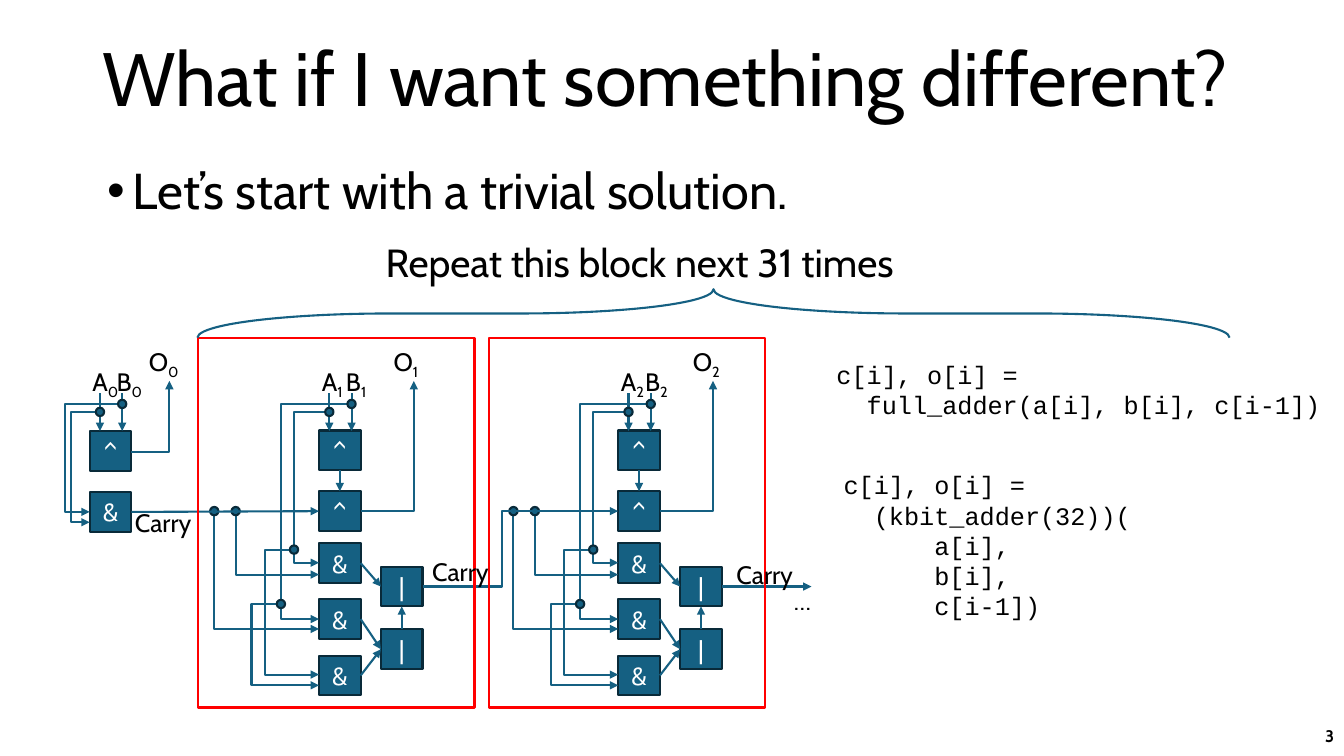
from lxml import etree
from pptx import Presentation
from pptx.dml.color import RGBColor
from pptx.enum.shapes import MSO_CONNECTOR as CXN, MSO_SHAPE as SHAPE
from pptx.enum.text import MSO_ANCHOR as ANCHOR, PP_ALIGN as ALIGN
from pptx.oxml.ns import qn
from pptx.util import Cm, Pt

TEAL, NAVY, RED, BLACK, WHITE = "156082", "092A39", "FF0000", "000000", "FFFFFF"
SANS, MONO = "Cabin", "Courier New"

TITLE = "What if I want something different?"
BULLET = "Let’s start with a trivial solution."
# text, left, top, width, height, size, font
NOTES = [
    ("Repeat this block next 31 times", 9.47, 5.87, 13.87, 1.45, 28, SANS),
    ("…", 19.76, 14.63, 1.07, 1.02, 18, SANS),
    ("Carry", 3.15, 12.67, 2.03, 1.02, 18, SANS),
    ("Carry", 10.64, 13.89, 2.03, 1.02, 18, SANS),
    ("Carry", 18.31, 13.97, 2.03, 1.02, 18, SANS),
    ("c[i], o[i] =\n  (kbit_adder(32))(\n      a[i],\n      b[i],\n      c[i-1])",
     21.01, 11.71, 7.8, 4.11, 18, MONO),
    ("c[i], o[i] =\n  full_adder(a[i], b[i], c[i-1])",
     20.83, 8.92, 12.78, 1.8, 18, MONO),
]

# Horizontal positions in an adder are offsets from the left of its gate column
GATE_W, GATE_H, DOT = 1.05, 1.0, 0.21
HALF_X, FULL_X = 2.26, (8.04, 15.58)
A_DX, B_DX, A_Y, B_Y = 0.26, 0.82, 10.38, 10.18
CARRY_Y, OUT_Y = 12.88, 9.6
HALF_GATES = {"xor": ("^", 0, 10.87), "and": ("&", 0, 12.4)}
HALF_WIRES = [
    [(B_DX, B_Y), (-0.63, B_Y), (-0.63, 12.9), (0, 12.9)],
    [(A_DX, A_Y), (-0.46, A_Y), (-0.46, 13.16), (0, 13.16)],
    [(GATE_W, 11.38), (2.01, 11.38), (2.01, OUT_Y)],
]
FULL_GATES = {
    "xor in": ("^", 0, 10.85), "xor out": ("^", 0, 12.38),
    "and 1": ("&", 0, 13.69), "and 2": ("&", 0, 15.1), "and 3": ("&", 0, 16.52),
    "or out": ("|", 1.56, 14.28), "or in": ("|", 1.56, 15.86),
}
# from gate, side, to gate, side (0 top, 1 left, 2 bottom, 3 right)
FULL_LINKS = [
    ("xor in", 2, "xor out", 0), ("and 1", 3, "or out", 1), ("and 2", 3, "or in", 1),
    ("and 3", 3, "or in", 1), ("or in", 0, "or out", 2),
]
FULL_WIRES = [
    [(B_DX, B_Y), (-0.96, B_Y), (-0.96, 15.6), (0, 15.6)],
    [(A_DX, A_Y), (-0.63, A_Y), (-0.63, 14.18), (0, 14.18)],
    [(-0.63, 13.85), (-1.37, 13.85), (-1.37, 17), (0, 17)],
    [(-0.96, 15.22), (-1.7, 15.22), (-1.7, 17.27), (0, 17.27)],
    [(-2.1, CARRY_Y), (-2.1, 14.48), (0, 14.48)],
    [(-2.64, CARRY_Y), (-2.64, 15.85), (0, 15.85)],
    [(GATE_W, CARRY_Y), (2.39, CARRY_Y), (2.39, OUT_Y)],
]
INPUT_DOTS = [(A_DX, A_Y), (B_DX, B_Y)]
FULL_DOTS = INPUT_DOTS + [(-0.96, 15.22), (-0.63, 13.85),
                          (-2.1, CARRY_Y), (-2.64, CARRY_Y)]
BLOCK_LEFTS, BLOCK_TOP, BLOCK_W, BLOCK_H = (5.0, 12.32), 8.51, 6.96, 9.32
BRACE_MID, BRACE_DEPTH, BRACE_SPAN = (17.98, 7.9), 1.22, 26.01

prs = Presentation()
prs.slide_width, prs.slide_height = Cm(33.87), Cm(19.05)
s = prs.slides.add_slide(prs.slide_layouts[6])


def rgb(color):
    return RGBColor.from_string(color)


def style(run, **fmt):
    """Set font attributes of a run; color is a hex string."""
    run.font.color.rgb = rgb(fmt.pop("color", BLACK))
    for name, value in {"name": SANS, "size": Pt(18), **fmt}.items():
        setattr(run.font, name, value)


def text(content, left, top, width, height, wrap=True, anchor=ANCHOR.TOP, **fmt):
    tf = s.shapes.add_textbox(*map(Cm, (left, top, width, height))).text_frame
    tf.word_wrap, tf.vertical_anchor = wrap, anchor
    for i, line in enumerate(content.split("\n")):
        p = tf.add_paragraph() if i else tf.paragraphs[0]
        r = p.add_run()
        r.text = line
        style(r, **fmt)
    return tf.paragraphs[0]


def shape(kind, left, top, width, height, fill=TEAL, line=NAVY):
    sp = s.shapes.add_shape(kind, *map(Cm, (left, top, width, height)))
    sp.shadow.inherit = False
    if fill:
        sp.fill.solid()
        sp.fill.fore_color.rgb = rgb(fill)
    else:
        sp.fill.background()
    outline(sp, line)
    return sp


def outline(sp, color, arrow=False):
    sp.line.color.rgb, sp.line.width = rgb(color), Pt(1.5)
    if arrow:
        etree.SubElement(sp.line._get_or_add_ln(), qn("a:tailEnd"), type="triangle")


def arrow(x1=0, y1=0, x2=0, y2=0, begin=None, end=None):
    """Straight arrow; begin and end are optional (shape, side) joints."""
    c = s.shapes.add_connector(CXN.STRAIGHT, *map(Cm, (x1, y1, x2, y2)))
    if begin:
        c.begin_connect(*begin)
    if end:
        c.end_connect(*end)
    outline(c, TEAL, arrow=True)
    etree.SubElement(c._element.spPr, qn("a:effectLst"))


def wire(points, x=0):
    """Right-angled arrow through points, shifted right by x."""
    start, *rest = [(Cm(x + px), Cm(py)) for px, py in points]
    builder = s.shapes.build_freeform(*start)
    builder.add_line_segments(rest, close=False)
    sp = builder.convert_to_shape()
    sp.shadow.inherit = False
    sp.fill.background()
    outline(sp, TEAL, arrow=True)


def gate(symbol, left, top):
    sp = shape(SHAPE.RECTANGLE, left, top, GATE_W, GATE_H)
    sp.text_frame.vertical_anchor = ANCHOR.MIDDLE
    p = sp.text_frame.paragraphs[0]
    p.alignment = ALIGN.CENTER
    r = p.add_run()
    r.text = symbol
    style(r, color=WHITE)
    return sp


def adder(x, index, gates, links, wires, dots, out_dx):
    """Draw one adder with its numbered inputs and output; return its gates."""
    placed = {k: gate(sym, x + dx, y) for k, (sym, dx, y) in gates.items()}
    for dx in (A_DX, B_DX):
        arrow(x + dx, 9.91, x + dx, 10.86)
    for src, out_side, dst, in_side in links:
        arrow(begin=(placed[src], out_side), end=(placed[dst], in_side))
    for points in wires:
        wire(points, x)
    for dx, y in dots:
        shape(SHAPE.OVAL, x + dx - DOT / 2, y - DOT / 2, DOT, DOT)
    for letter, dx, y, w in (("A", -0.18, 9.1, 1.19), ("B", 0.43, 9.11, 1.3),
                             ("O", out_dx, 8.59, 1.52)):
        r = text(letter, x + dx, y, w, 1.02).add_run()
        r.text = str(index)
        style(r)
        r.font._element.set("baseline", "-25000")
    return placed


p = text(TITLE, 2.33, 0.23, 29.21, 3.68, anchor=ANCHOR.MIDDLE, size=Pt(54))
p.line_spacing = 0.9
p = text("3", 26.25, 18.03, 7.62, 1.02, anchor=ANCHOR.MIDDLE, size=Pt(12), bold=True)
p.alignment = ALIGN.RIGHT
p = text(BULLET, 2.45, 4.06, 20.09, 2.64, size=Pt(36))
p.line_spacing = 0.9
pPr = p._p.get_or_add_pPr()
pPr.set("marL", str(Cm(0.64)))
pPr.set("indent", str(Cm(-0.64)))
etree.SubElement(pPr, qn("a:buFont"), typeface="Arial")
etree.SubElement(pPr, qn("a:buChar"), char="•")

half = adder(HALF_X, 0, HALF_GATES, [], HALF_WIRES, INPUT_DOTS, 1.24)
first, second = [adder(x, i, FULL_GATES, FULL_LINKS, FULL_WIRES, FULL_DOTS, 1.63)
                 for i, x in enumerate(FULL_X, 1)]

arrow(begin=(half["and"], 3), end=(first["xor out"], 1))
or_right, or_mid = FULL_X[0] + 1.56 + GATE_W, 14.78
wire([(or_right, or_mid), (12.65, or_mid), (12.65, CARRY_Y), (FULL_X[1], CARRY_Y)])
arrow(x2=20.45, y2=or_mid, begin=(second["or out"], 3))

for left in BLOCK_LEFTS:
    shape(SHAPE.RECTANGLE, left, BLOCK_TOP, BLOCK_W, BLOCK_H, fill=None, line=RED)
brace = shape(SHAPE.LEFT_BRACE, BRACE_MID[0] - BRACE_DEPTH / 2,
              BRACE_MID[1] - BRACE_SPAN / 2, BRACE_DEPTH, BRACE_SPAN, None, TEAL)
brace.rotation = 90
brace.adjustments[0] = 3.99

for content, left, top, width, height, size, font in NOTES:
    text(content, left, top, width, height, wrap=False, size=Pt(size), name=font)

prs.save("out.pptx")
